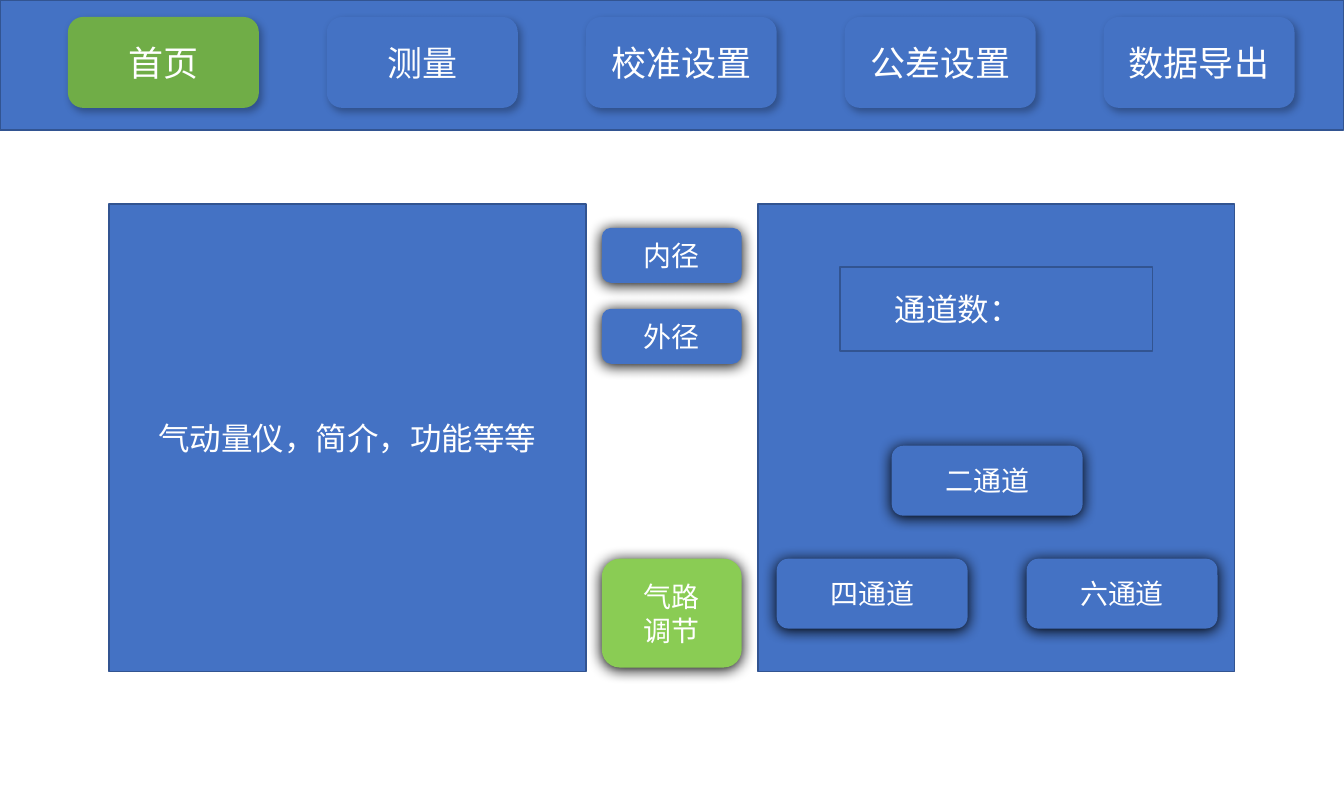
from lxml import etree
from pptx import Presentation
from pptx import util as u
from pptx.dml.color import RGBColor
from pptx.enum import shapes, text
from pptx.oxml.ns import qn

COLORS = {"blue": "4472C4", "outline": "325491", "active": "70AD47",
          "adjust": "8ACC54", "text": "FFFFFF", "shadow": "000000"}
CJK_FONT = "Noto Sans CJK SC"
SOFT_SHADOW = {"alpha": 30, "blur": 4.5, "distance": 2.6, "angle": 53}
DEEP_SHADOW = {"alpha": 100, "blur": 8.5, "distance": 1, "angle": 90}

NAVIGATION = ["首页", "测量", "校准设置", "公差设置", "数据导出"]
INTRODUCTION = "气动量仪，简介，功能等等"
CHANNEL_COUNT = "通道数："
CHANNELS = [("二通道", 892, 446), ("四通道", 777, 559), ("六通道", 1027, 559)]
SIDE_BUTTONS = [("内径", 228, 55, "blue"), ("外径", 309, 55, "blue"),
                ("气路\n调节", 559, 109, "adjust")]

SLIDE_WIDTH, SLIDE_HEIGHT = u.Inches(10.67), u.Inches(6.25)
BAR_WIDTH = 1344
PANEL_TOP, PANEL_WIDTH, PANEL_HEIGHT = 204, 477, 468
NAV_LEFT, NAV_STEP = 68, 259
BUTTON_WIDTH = 191
SCALE = u.Inches(1) / 126


def px(value):
    return round(value * SCALE)


def add_shadow(shape, alpha, blur, distance, angle):
    effects = shape._element.spPr.find(qn("a:effectLst"))
    shadow = etree.SubElement(
        effects, qn("a:outerShdw"), blurRad=str(u.Pt(blur)),
        dist=str(u.Pt(distance)), dir=str(angle * 60000),
        algn="ctr", rotWithShape="0")
    color = etree.SubElement(shadow, qn("a:srgbClr"), val=COLORS["shadow"])
    etree.SubElement(color, qn("a:alpha"), val=str(alpha * 1000))


def add_box(content, box, fill="blue", size=18, font=CJK_FONT, shadow=None,
            align=text.PP_ALIGN.CENTER, inset=12.6):
    kinds = shapes.MSO_SHAPE
    kind = kinds.ROUNDED_RECTANGLE if shadow else kinds.RECTANGLE
    shape = slide.shapes.add_shape(kind, *map(px, box))
    shape.shadow.inherit = False
    shape.fill.solid()
    shape.fill.fore_color.rgb = RGBColor.from_string(COLORS[fill])
    if shadow:
        shape.line.fill.background()
        add_shadow(shape, **shadow)
    else:
        shape.line.color.rgb = RGBColor.from_string(COLORS["outline"])
        shape.line.width = u.Pt(1)
    if not content:
        return
    frame = shape.text_frame
    frame.text = content
    frame.word_wrap = True
    frame.vertical_anchor = text.MSO_ANCHOR.MIDDLE
    frame.margin_left = px(inset)
    for paragraph in frame.paragraphs:
        paragraph.alignment = align
        for run in paragraph.runs:
            run.font.name = font
            run.font.size = u.Pt(size)
            run.font.color.rgb = RGBColor.from_string(COLORS["text"])
            etree.SubElement(run.font._element, qn("a:ea"), typeface=CJK_FONT)


presentation = Presentation()
presentation.slide_width = SLIDE_WIDTH
presentation.slide_height = SLIDE_HEIGHT
slide = presentation.slides.add_slide(presentation.slide_layouts[6])

add_box("", (758, PANEL_TOP, PANEL_WIDTH, PANEL_HEIGHT))
add_box("", (0, 0, BAR_WIDTH, 130))
for index, label in enumerate(NAVIGATION):
    add_box(label, (NAV_LEFT + index * NAV_STEP, 17, BUTTON_WIDTH, 91),
            fill="blue" if index else "active", size=20, shadow=SOFT_SHADOW)

add_box(INTRODUCTION, (109, PANEL_TOP, PANEL_WIDTH, PANEL_HEIGHT), font="Calibri")
for label, left, top in CHANNELS:
    add_box(label, (left, top, BUTTON_WIDTH, 70), size=16, shadow=DEEP_SHADOW)
add_box(CHANNEL_COUNT, (840, 267, 313, 84), font="Calibri",
        align=text.PP_ALIGN.LEFT, inset=55)
for label, top, height, fill in SIDE_BUTTONS:
    add_box(label, (602, top, 140, height), fill=fill, size=16, shadow=DEEP_SHADOW)

presentation.save("out.pptx")
